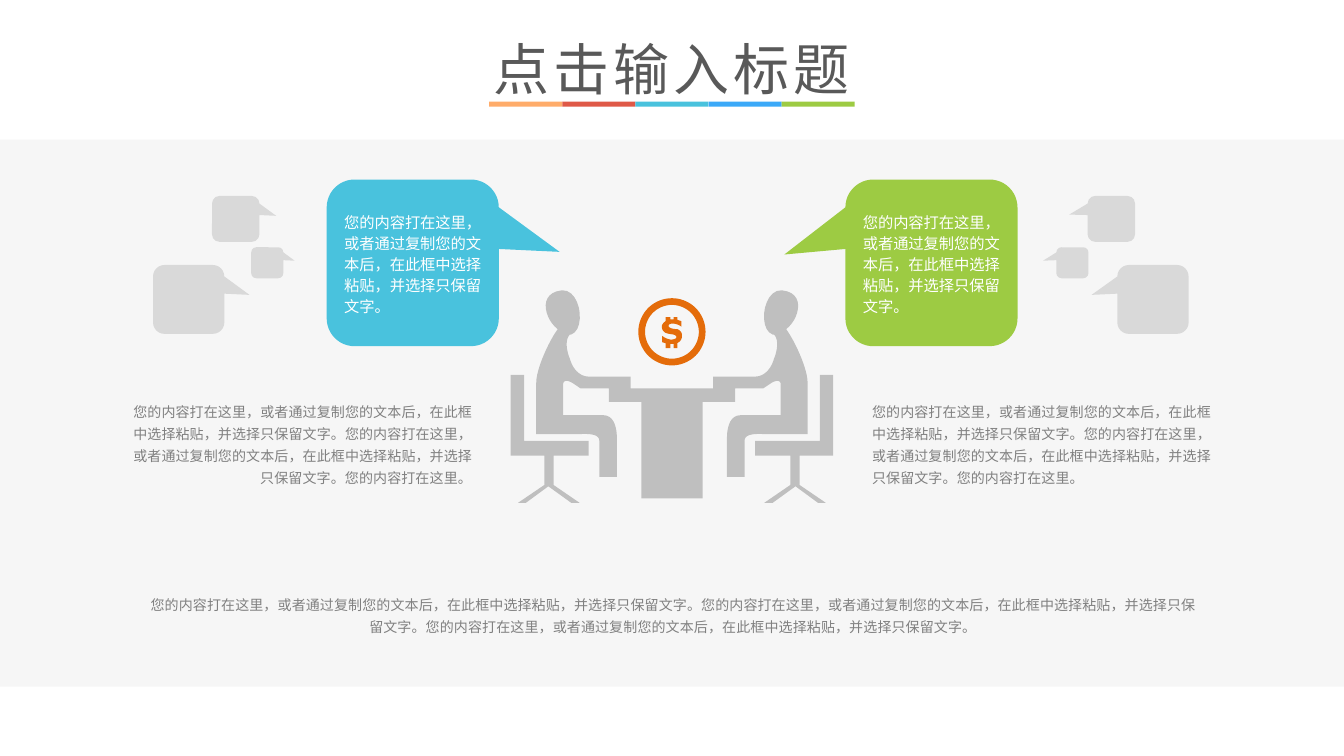
"""Build the negotiation slide with two speakers, a coin and captions."""
import math
from dataclasses import dataclass

from lxml import etree
from pptx import Presentation
from pptx.dml.color import RGBColor
from pptx.enum import lang, shapes, text
from pptx.oxml import ns
from pptx.util import Pt

CENTER = 360
PHRASE = "您的内容打在这里，或者通过复制您的文本后，在此框中选择粘贴，并选择只保留文字。"
ENDING = "您的内容打在这里。"
ALIGN = text.PP_ALIGN
SHAPE = shapes.MSO_SHAPE
Point = tuple[float, float]


@dataclass(frozen=True)
class Style:
    font: str
    size: float
    color: str
    spacing: float | None = None


@dataclass(frozen=True)
class Bubble:
    left: float
    top: float
    width: float
    height: float
    tail: Point
    color: str = "D9D9D9"
    words: str = ""


@dataclass(frozen=True)
class Caption:
    left: float
    top: float
    width: float
    height: float
    align: ALIGN
    words: str


TITLE = Style("Noto Sans CJK JP", 30, "595959")
SPEECH = Style("League Spartan", 8.2, "FFFFFF", Pt(11.2))
BODY = Style("Noto Sans CJK SC", 7.5, "808080", 1.3)
BAR_COLORS = ("FFAC6A", "DF5947", "49C2DD", "3BA9F8", "9DCB43")

BUBBLES = (
    Bubble(175, 96.2, 92.2, 89.3, (0.853, -0.066), "49C2DD", PHRASE),
    Bubble(452.9, 96.2, 92.2, 89.3, (-0.855, -0.05), "9DCB43", PHRASE),
    Bubble(82, 142, 38.2, 36.9, (0.853, -0.066)),
    Bubble(113.6, 105, 25.4, 24.6, (0.853, -0.066)),
    Bubble(134.6, 132.5, 17.2, 16.6, (0.853, -0.066)),
    Bubble(598.6, 142, 38.2, 36.9, (-0.862, -0.066)),
    Bubble(582.7, 105, 25.4, 24.6, (-0.889, -0.093)),
    Bubble(565.9, 132.5, 17.2, 16.6, (-0.916, -0.066)),
)
CAPTIONS = (
    Caption(64.1, 210.2, 195.8, 54.7, ALIGN.RIGHT, PHRASE * 2 + ENDING),
    Caption(460.1, 210.2, 195.8, 54.7, ALIGN.LEFT, PHRASE * 2 + ENDING),
    Caption(71.3, 313.2, 578.2, 31, ALIGN.CENTER, PHRASE * 3),
)

CHAIR = (
    (273.6, 200.9), (280.8, 200.9), (280.8, 236.2), (315.4, 236.2), (315.4, 244.1),
    (296.6, 244.1), (296.6, 259.9), (310.5, 269.4), (306, 269.4), (293.8, 260.6),
    (281.8, 269.4), (277.6, 269.4), (291.6, 259.9), (291.6, 244.1), (273.6, 244.1),
)
PERSON_AND_HALF_TABLE = (
    (360, 208.1), (337.9, 208.1), (337.9, 201.8), (315.4, 201.8),
    (310.3, 201.8, 306.7, 197.3, 305.3, 192.2),
    (303.8, 188.6, 302.4, 182.2, 305.3, 179.3), (306, 179.3),
    (314.6, 176.4, 311, 151.2, 298.1, 156.2),
    (288.7, 159.1, 292.3, 171.4, 298.8, 176.4),
    (294.5, 182.2, 287.3, 197.3, 287.3, 205.2), (287.3, 232.6), (310.3, 232.6),
    (313.2, 232.6, 321.1, 231.8, 321.1, 236.2), (321.1, 255.6), (330.5, 255.6),
    (330.5, 235.4), (330.5, 235.4, 331.2, 222.5, 323.3, 222.5), (301.7, 222.5),
    (301.7, 205.9), (301.7, 205.9, 301.7, 202.3, 306.7, 205.2), (311, 208.1),
    (326.2, 208.1), (326.2, 215.3), (343.6, 215.3), (343.6, 267.1), (360, 267.1),
)
DOLLAR = (
    (362.9, 176.4), (361.4, 176.4, 358.2, 176, 358.2, 174.6),
    (358.2, 172.9, 362.4, 173, 365, 175), (365, 172.1), (362.9, 171.4),
    (362.9, 169.9), (360.9, 169.9), (360.9, 171.2), (359.1, 171.2), (359.1, 169.9),
    (356.6, 169.9), (356.6, 172.1), (355.6, 172.8, 354.6, 173.8, 354.6, 175),
    (354.6, 177.2, 356, 178.4, 358, 178.8), (360.9, 179.3),
    (363, 179.9, 362.6, 181.4, 361.4, 181.6), (359.4, 182.6, 356.6, 181.4, 354.8, 180),
    (354.8, 183.4), (356.6, 183.9), (356.6, 186.5), (359.1, 186.5), (359.1, 184.3),
    (360.9, 184.3), (360.9, 186.5), (362.9, 186.5), (362.9, 183.8),
    (364.6, 183, 365.4, 181.6, 365.4, 180), (365.4, 178, 364.4, 177, 362.9, 176.4),
)


def rgb(color: str) -> RGBColor:
    """Turn a hex string into a colour."""
    return RGBColor.from_string(color)


def flatten(outline: tuple) -> list[Point]:
    """Turn corners and cubic curves into a list of points."""
    points = []
    for step in outline:
        if len(step) == 2:
            points.append(step)
            continue
        controls = [points[-1], step[:2], step[2:4], step[4:]]
        for part in range(1, 13):
            t = part / 12
            weights = [math.comb(3, i) * t**i * (1 - t) ** (3 - i) for i in range(4)]
            points.append(tuple(sum(w * c[axis] for w, c in zip(weights, controls))
                                for axis in (0, 1)))
    return points


def mirror(points: list[Point]) -> list[Point]:
    """Reflect points across the middle of the slide, in reverse order."""
    return [(2 * CENTER - x, y) for x, y in reversed(points)]


def circle(radius: float) -> list[Point]:
    """Return points around the centre of the coin."""
    angles = [math.radians(degree) for degree in range(0, 360, 5)]
    return [(CENTER + radius * math.cos(a), 177.8 + radius * math.sin(a)) for a in angles]


def paint(shape, color: str) -> None:
    """Give a shape a flat fill with no line or shadow."""
    shape.shadow.inherit = False
    shape.fill.solid()
    shape.fill.fore_color.rgb = rgb(color)
    shape.line.fill.background()


def draw_outline(page, contours: list[list[Point]], color: str) -> None:
    """Draw closed contours as one shape."""
    scaled = [[(Pt(x), Pt(y)) for x, y in contour] for contour in contours]
    builder = page.shapes.build_freeform(*scaled[0][0], scale=1.0)
    for index, contour in enumerate(scaled):
        if index:
            builder.move_to(*contour[0])
        builder.add_line_segments(contour[1:], close=True)
    paint(builder.convert_to_shape(), color)


def draw_shape(page, kind: SHAPE, area: tuple, color: str):
    """Draw a flat preset shape and return it."""
    shape = page.shapes.add_shape(kind, *map(Pt, area))
    paint(shape, color)
    return shape


def write(box, words: str, style: Style, align: ALIGN, **frame_format):
    """Write one formatted paragraph and return its span."""
    for name, value in frame_format.items():
        setattr(box.text_frame, name, value)
    para = box.text_frame.paragraphs[0]
    para.alignment = align
    if style.spacing:
        para.line_spacing = style.spacing
    span = para.add_run()
    span.text = words
    span.font.color.rgb = rgb(style.color)
    span_format = {"size": Pt(style.size), "name": style.font,
                   "language_id": lang.MSO_LANGUAGE_ID.SIMPLIFIED_CHINESE}
    for name, value in span_format.items():
        setattr(span.font, name, value)
    asian = etree.SubElement(span._r.get_or_add_rPr(), ns.qn("a:ea"))
    asian.set("typeface", style.font)
    return span


def draw_bubble(page, bubble: Bubble) -> None:
    """Draw a speech bubble with its words, if any."""
    area = (bubble.left, bubble.top, bubble.width, bubble.height)
    box = draw_shape(page, SHAPE.ROUNDED_RECTANGULAR_CALLOUT, area, bubble.color)
    for index, value in enumerate((*bubble.tail, 0.167)):
        box.adjustments[index] = value
    if bubble.words:
        write(box, bubble.words, SPEECH, ALIGN.LEFT, word_wrap=True,
              vertical_anchor=text.MSO_ANCHOR.MIDDLE, margin_left=Pt(5),
              margin_right=Pt(5), margin_top=Pt(2.9), margin_bottom=Pt(2.9))


def draw_caption(page, caption: Caption) -> None:
    """Draw a grey block of running text."""
    area = (caption.left, caption.top, caption.width, caption.height)
    box = page.shapes.add_textbox(*map(Pt, area))
    write(box, caption.words, BODY, caption.align, word_wrap=True,
          auto_size=text.MSO_AUTO_SIZE.SHAPE_TO_FIT_TEXT)


def main() -> None:
    """Build and save the deck."""
    deck = Presentation()
    deck.slide_width, deck.slide_height = Pt(720), Pt(405)
    page = deck.slides.add_slide(deck.slide_layouts[5])
    title = page.shapes.title
    place = {"left": 254.9, "top": 15.1, "width": 210.2, "height": 43.9}
    for name, value in place.items():
        setattr(title, name, Pt(value))
    span = write(title, "点击输入标题", TITLE, ALIGN.CENTER, word_wrap=False,
                 vertical_anchor=text.MSO_ANCHOR.TOP,
                 auto_size=text.MSO_AUTO_SIZE.SHAPE_TO_FIT_TEXT)
    span._r.get_or_add_rPr().set("spc", "220")

    for index, color in enumerate(BAR_COLORS):
        draw_shape(page, SHAPE.RECTANGLE, (262.1 + index * 39.15, 54.5, 39.15, 2.7), color)
    draw_shape(page, SHAPE.RECTANGLE, (0, 74.9, 720, 293), "F6F6F6")
    draw_outline(page, [circle(18), circle(14.4), flatten(DOLLAR)], "E46C0A")
    chair, half = flatten(CHAIR), flatten(PERSON_AND_HALF_TABLE)
    draw_outline(page, [chair, mirror(chair), half + mirror(half)], "BFBFBF")
    for bubble in BUBBLES:
        draw_bubble(page, bubble)
    for caption in CAPTIONS:
        draw_caption(page, caption)
    deck.save("out.pptx")


if __name__ == "__main__":
    main()
